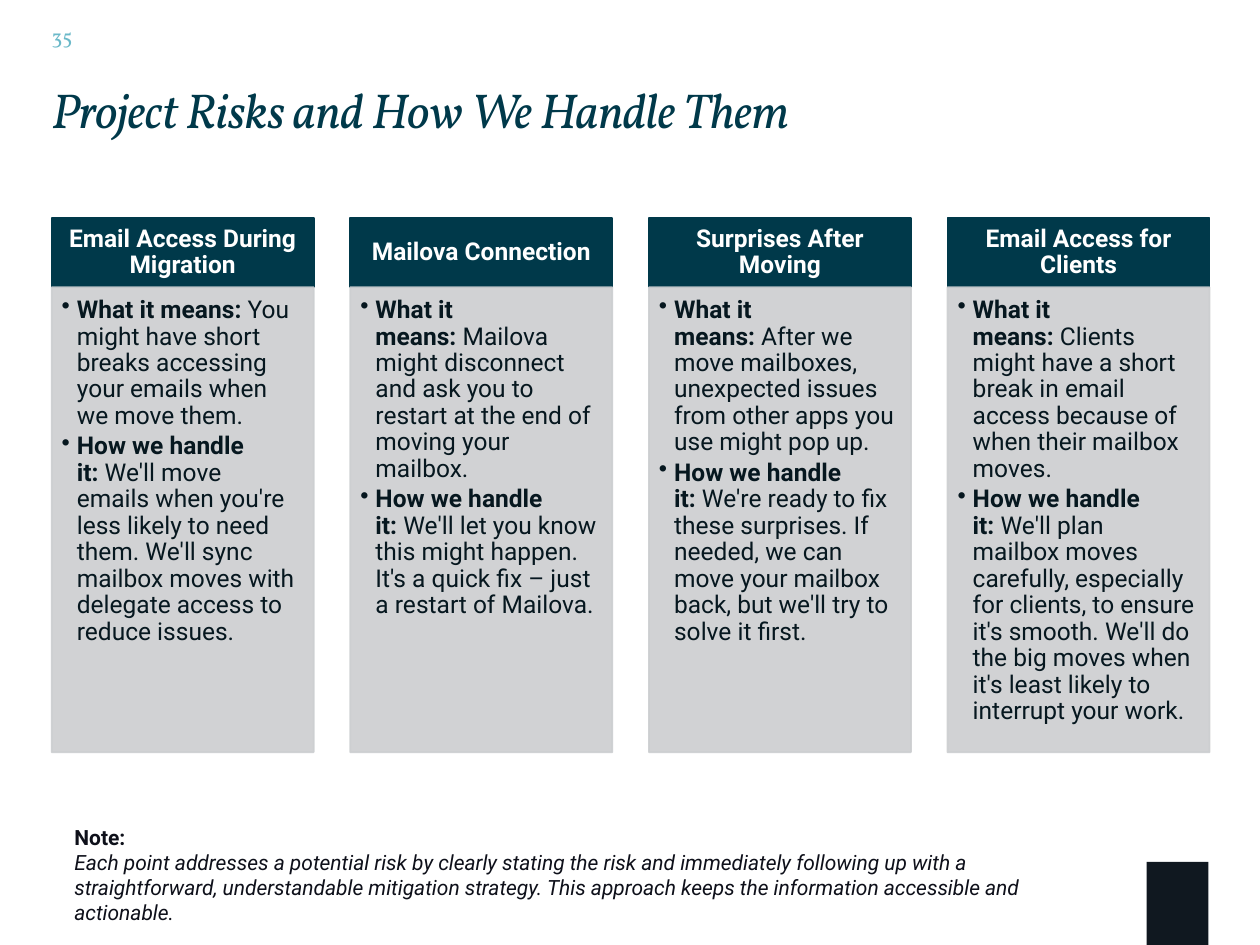
from lxml import etree
from pptx import Presentation
from pptx.dml.color import RGBColor
from pptx.enum.shapes import MSO_SHAPE
from pptx.enum.text import MSO_ANCHOR, PP_ALIGN
from pptx.oxml.ns import qn
from pptx.util import Inches, Pt

RECTANGLE = MSO_SHAPE.RECTANGLE
TOP, MIDDLE = MSO_ANCHOR.TOP, MSO_ANCHOR.MIDDLE
LEFT, CENTER = PP_ALIGN.LEFT, PP_ALIGN.CENTER
NBSP = chr(160)

COLORS = {
    "teal": "00394A",
    "light_blue": "6BB9C9",
    "panel": "CCCED0",
    "white": "FFFFFF",
    "body": "06171F",
    "note": "0E101A",
    "badge": "101820",
}
SANS, SERIF = "Roboto", "Vollkorn"

PAGE_NUMBER = "35"
TITLE = "Project Risks and How We Handle Them"
LABELS = ("What it means:", "How we handle it:")
RISKS = [
    (
        "Email Access During Migration",
        "You might have short breaks accessing your emails when we move them.",
        "We'll move emails when you're less likely to need them. We'll sync "
        "mailbox moves with delegate access to reduce issues.",
    ),
    (
        "Mailova Connection",
        "Mailova might disconnect and ask you to restart at the end of moving your mailbox.",
        "We'll let you know this might happen. It's a quick fix – just a restart of Mailova.",
    ),
    (
        "Surprises After Moving",
        "After we move mailboxes, unexpected issues from other apps you use might pop up.",
        "We're ready to fix these surprises. If needed, we can move your mailbox "
        "back, but we'll try to solve it first.",
    ),
    (
        "Email Access for Clients",
        "Clients might have a short break in email access because of when their mailbox moves.",
        "We'll plan mailbox moves carefully, especially for clients, to ensure it's smooth. "
        "We'll do the big moves when it's least likely to interrupt your work.",
    ),
]
NOTE_LABEL = "Note:"
NOTE = (
    "Each point addresses a potential risk by clearly stating the risk and immediately "
    "following up with a straightforward, understandable mitigation strategy. This approach "
    "keeps the information accessible and actionable."
)

COLUMN_LEFT, COLUMN_STEP, COLUMN_WIDTH = 0.41, 2.37, 2.08
HEADER_TOP, HEADER_HEIGHT, PANEL_HEIGHT = 1.73, 0.55, 3.69


def set_font(paragraph, name, size, color, bold=None, italic=None):
    font = paragraph.font
    font.name, font.size = name, Pt(size)
    font.bold, font.italic = bold, italic
    font.color.rgb = RGBColor.from_string(COLORS[color])


def set_frame(frame, insets=(0, 0, 0, 0), anchor=TOP, wrap=True):
    frame.margin_left, frame.margin_top, frame.margin_right, frame.margin_bottom = map(
        Inches, insets
    )
    frame.vertical_anchor = anchor
    frame.word_wrap = wrap
    return frame


def add_text(slide, box, **layout):
    return set_frame(slide.shapes.add_textbox(*map(Inches, box)).text_frame, **layout)


def add_block(slide, box, color, opacity=100):
    block = slide.shapes.add_shape(RECTANGLE, *map(Inches, box))
    block.shadow.inherit = False
    block.fill.solid()
    block.line.width = Pt(1)
    for paint in (block.fill.fore_color, block.line.color):
        paint.rgb = RGBColor.from_string(COLORS[color])
    if opacity < 100:
        for tint in block._element.spPr.iter(qn("a:srgbClr")):
            etree.SubElement(tint, qn("a:alpha"), val=str(opacity * 1000))
    return block


def add_bullet(paragraph):
    properties = paragraph._p.get_or_add_pPr()
    properties.set("marL", str(Inches(0.12)))
    properties.set("indent", str(-Inches(0.12)))
    etree.SubElement(properties, qn("a:buChar"), char="•")


def add_risk(slide, left, heading, *details):
    header = add_block(slide, (left, HEADER_TOP, COLUMN_WIDTH, HEADER_HEIGHT), "teal")
    frame = set_frame(header.text_frame, insets=(0.11, 0.06, 0.11, 0.06), anchor=MIDDLE)
    frame.text = heading
    line = frame.paragraphs[0]
    line.alignment, line.line_spacing = CENTER, 0.9
    set_font(line, SANS, 14, "white", bold=True)

    panel_top = HEADER_TOP + HEADER_HEIGHT
    panel = add_block(slide, (left, panel_top, COLUMN_WIDTH, PANEL_HEIGHT), "panel", opacity=90)
    frame = set_frame(panel.text_frame, insets=(0.08, 0.08, 0.11, 0.12))
    for index, (label, detail) in enumerate(zip(LABELS, details)):
        point = frame.add_paragraph() if index else frame.paragraphs[0]
        add_bullet(point)
        point.alignment, point.line_spacing, point.space_after = LEFT, 0.9, Pt(2.1)
        set_font(point, SANS, 14, "body")
        lead = point.add_run()
        lead.text, lead.font.bold = label, True
        point.add_run().text = NBSP + detail


def main():
    presentation = Presentation()
    presentation.slide_width, presentation.slide_height = Inches(10), Inches(7.5)
    slide = presentation.slides.add_slide(presentation.slide_layouts[6])

    number = add_text(
        slide, (0.34, 0.09, 0.6, 0.4), insets=(0.07, 0.04, 0.07, 0.04), anchor=MIDDLE
    )
    number.text = PAGE_NUMBER
    set_font(number.paragraphs[0], SERIF, 12, "light_blue")

    add_block(slide, (9.1, 6.84, 0.49, 0.66), "badge").line.fill.background()

    title = add_text(slide, (0.41, 0.7, 6.56, 0.41), wrap=False)
    title.text = TITLE
    heading = title.paragraphs[0]
    heading.line_spacing = 0.86
    set_font(heading, SERIF, 28, "teal", italic=True)
    heading.runs[0]._r.get_or_add_rPr().set("spc", "-30")

    note = add_text(slide, (0.59, 6.54, 8.09, 0.81))
    note.text = NOTE_LABEL
    set_font(note.paragraphs[0], SANS, 12, "note", bold=True)
    explanation = note.add_paragraph()
    explanation.text = NOTE
    set_font(explanation, SANS, 12, "note", italic=True)

    for column, risk in enumerate(RISKS):
        add_risk(slide, COLUMN_LEFT + column * COLUMN_STEP, *risk)

    presentation.save("out.pptx")


if __name__ == "__main__":
    main()
